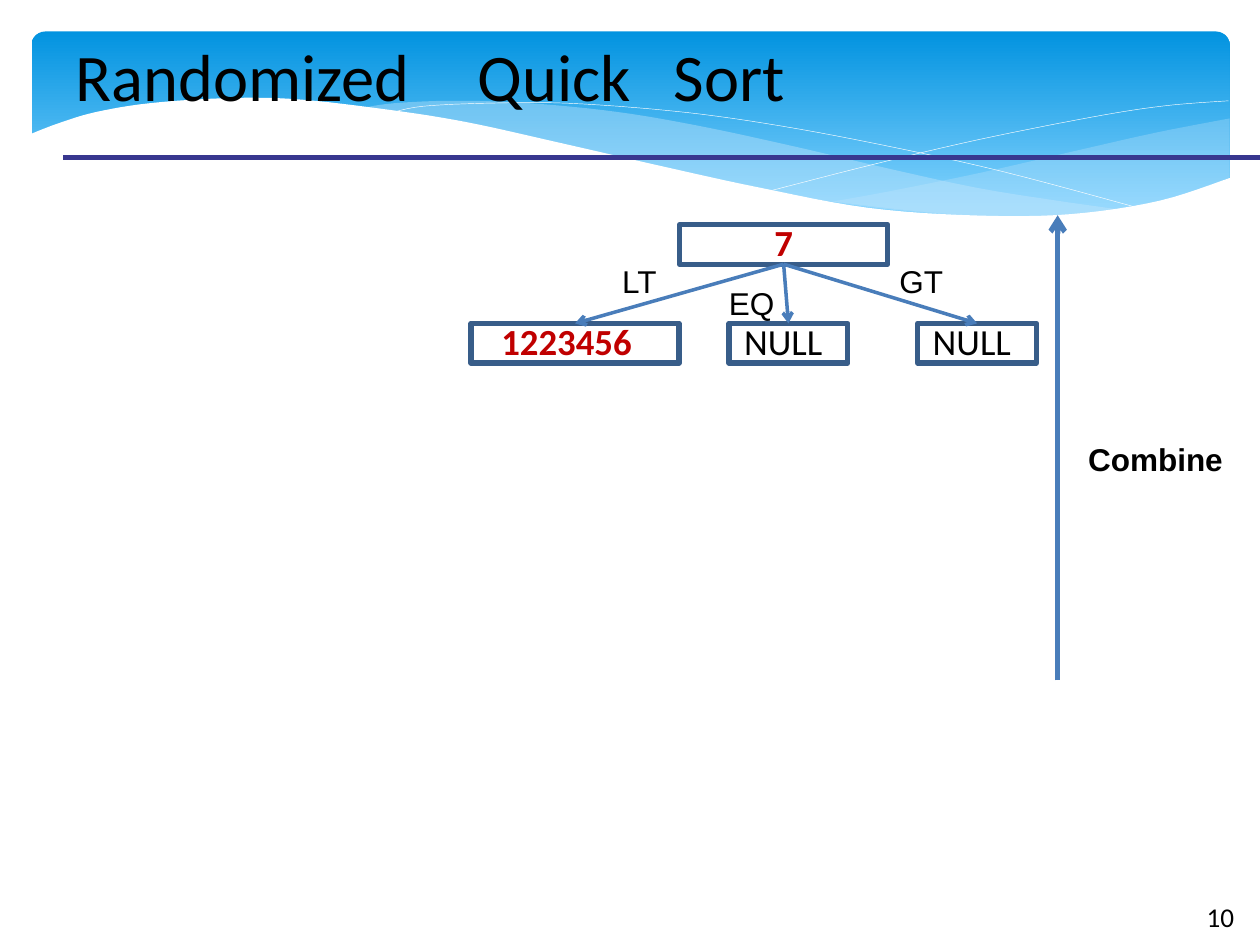
from lxml.etree import SubElement
from pptx import Presentation
from pptx.dml.color import RGBColor
from pptx.enum.shapes import MSO_CONNECTOR, MSO_SHAPE
from pptx.enum.text import MSO_ANCHOR, PP_ALIGN
from pptx.oxml.ns import qn
from pptx.util import Pt

BLACK = RGBColor(0x00, 0x00, 0x00)
WHITE = RGBColor(0xFF, 0xFF, 0xFF)
RED = RGBColor(0xC0, 0x00, 0x00)
SKY_DARK = RGBColor(0x02, 0x93, 0xE0)
SKY_LIGHT = RGBColor(0x83, 0xD3, 0xFE)
MIST = RGBColor(0xC6, 0xE7, 0xFC)
INDIGO = RGBColor(0x38, 0x37, 0x8F)
BOX_LINE = RGBColor(0x38, 0x5D, 0x89)
ARROW_BLUE = RGBColor(0x49, 0x7D, 0xBA)

TITLE = "Randomized\tQuick\tSort"
TITLE_TABS = [230, 342]

# Curves of each wave, joined end to end: (curves, fill, opacity in percent)
WAVES = [
    ([[(702.7, 67.7), (661.7, 75.6), (620, 85), (561, 98.6), (508, 109.4), (475.9, 115.2)],
      [(475.9, 115.2), (527, 121), (570.2, 123.8), (607.7, 123.1), (640, 119.5),
       (673.2, 112.3), (702.7, 101.5)]], MIST, 29),
    ([[(643, 120.2), (602.6, 114.5), (558, 107.3), (508.3, 96.5), (452.9, 83.5),
       (399.6, 72), (352, 63.9), (302.4, 59), (259.9, 57.6), (225.4, 59), (205.9, 61.9)],
      [(205.9, 61.9), (246.2, 67.7), (290.9, 76.3), (353.5, 90.7), (420.5, 105.1),
       (478.8, 115.9), (530, 121.7), (581, 124.6), (617, 123.5), (643, 120.2)]], MIST, 40),
    ([[(703.4, 101.5), (662.4, 114.8), (612, 122.4), (558, 123.2), (496, 118.8),
       (434.2, 107.3), (378, 95), (321.8, 82.1), (262.8, 69.1), (210.2, 61.2),
       (165.6, 56.5), (127.4, 56.2), (85.7, 59), (54.7, 64.1), (33.1, 70.6), (16.6, 77)],
      [(16.6, 161), (703.4, 161)]], WHITE, 100),
]
WAVE_LINES = [
    [(222.5, 64.8), (241.2, 60.8), (278.6, 59), (324, 59), (383.8, 63.4), (437.8, 70.6),
     (500.4, 82.1), (572.4, 97.9), (653, 119.5)],
    [(441.4, 108.7), (500.4, 93.6), (558.7, 79.9), (623.5, 67), (665.3, 60.5), (702, 57.6)],
]
HORIZON = [(36, 90), (720, 90)]

BOX_HEIGHT = 22.7
# text, left, top, width, left inset (None centres the text), colour, bold
PIVOT = ("7", 388.4, 128.3, 118.8, None, RED, True)
PARTS = [
    ("1223456", 269.2, 184.8, 118.8, 17.3, RED, True),
    ("NULL", 416.6, 184.8, 67.9, 8.6, BLACK, False),
    ("NULL", 524.4, 184.8, 67.9, 8.6, BLACK, False),
]
COMBINE_ARROW = [(604.4, 388.8), (604.4, 123)]
# text, left, top, width, font, size, bold
LABELS = [
    ("LT", 355.5, 150.5, 24, "Arial", 18, False),
    ("GT", 514, 150.5, 30, "Arial", 18, False),
    ("EQ", 416.5, 162.7, 31, "Arial", 18, False),
    ("Combine", 621.8, 252, 82, "Arial", 18, True),
    ("10", 689.5, 513.7, 23, "Calibri", 15.5, False),
]


def smooth(points, steps=6):
    """Return points on the Catmull-Rom curve through the given points."""
    if len(points) < 3:
        return points
    padded = [points[0], *points, points[-1]]
    curve = [points[0]]
    for a, b, c, d in zip(padded, padded[1:], padded[2:], padded[3:]):
        for step in range(1, steps + 1):
            t = step / steps
            curve.append(tuple(
                (2 * q + (r - p) * t + (2 * p - 5 * q + 4 * r - s) * t ** 2
                 + (3 * q - p - 3 * r + s) * t ** 3) / 2
                for p, q, r, s in zip(a, b, c, d)))
    return curve


def add_outline(shapes, points, close):
    vertices = [(Pt(x), Pt(y)) for x, y in points]
    builder = shapes.build_freeform(*vertices[0], scale=1.0)
    builder.add_line_segments(vertices[1:], close=close)
    shape = builder.convert_to_shape()
    shape.shadow.inherit = False
    return shape


def add_line(shapes, points, color, width, arrow=False):
    (x1, y1), (x2, y2) = points
    line = shapes.add_connector(MSO_CONNECTOR.STRAIGHT, Pt(x1), Pt(y1), Pt(x2), Pt(y2))
    line.line.color.rgb = color
    line.line.width = Pt(width)
    if arrow:
        SubElement(line.line._get_or_add_ln(), qn("a:tailEnd"), type="arrow")
    SubElement(line.element.spPr, qn("a:effectLst"))


def write(shape, text, font, size, color=BLACK, bold=False, align=PP_ALIGN.LEFT,
          anchor=MSO_ANCHOR.MIDDLE, left=0, bottom=0):
    frame = shape.text_frame
    frame.word_wrap = True
    frame.vertical_anchor = anchor
    frame.margin_left, frame.margin_bottom = Pt(left), Pt(bottom)
    frame.margin_right = frame.margin_top = 0
    frame.text = text
    paragraph = frame.paragraphs[0]
    paragraph.alignment = align
    paragraph.font.name = font
    paragraph.font.size = Pt(size)
    paragraph.font.bold = bold
    paragraph.font.color.rgb = color
    return paragraph


def add_box(shapes, text, left, top, width, inset, color, bold):
    box = shapes.add_shape(MSO_SHAPE.RECTANGLE, Pt(left), Pt(top), Pt(width), Pt(BOX_HEIGHT))
    box.shadow.inherit = False
    box.fill.background()
    box.line.color.rgb = BOX_LINE
    box.line.width = Pt(3)
    align = PP_ALIGN.CENTER if inset is None else PP_ALIGN.LEFT
    write(box, text, "Calibri", 21, color, bold, align, left=inset or 0, bottom=3)


def add_banner(shapes):
    banner = shapes.add_shape(MSO_SHAPE.ROUNDED_RECTANGLE, Pt(18), Pt(18), Pt(684.7), Pt(112.3))
    banner.adjustments[0] = 0.07
    banner.shadow.inherit = False
    banner.line.fill.background()
    banner.fill.gradient()
    banner.fill.gradient_angle = 270
    for stop, color, position in zip(banner.fill.gradient_stops, (SKY_DARK, SKY_LIGHT), (0, 0.9)):
        stop.color.rgb = color
        stop.position = position

    for curves, color, opacity in WAVES:
        points = [point for curve in curves for point in smooth(curve)]
        wave = add_outline(shapes, points, close=True)
        wave.line.fill.background()
        wave.fill.solid()
        wave.fill.fore_color.rgb = color
        tint = wave.element.spPr.find(f"{qn('a:solidFill')}/{qn('a:srgbClr')}")
        SubElement(tint, qn("a:alpha"), val=str(opacity * 1000))
    for points in WAVE_LINES:
        wave_line = add_outline(shapes, smooth(points), close=False)
        wave_line.fill.background()
        wave_line.line.color.rgb = WHITE
        wave_line.line.width = Pt(0.25)


def add_title(slide):
    title = slide.shapes.title
    slide.shapes.element.append(title.element)  # in front of the banner
    title.left, title.top, title.width, title.height = Pt(43), Pt(20), Pt(440), Pt(47)
    paragraph = write(title, TITLE, "Calibri", 38, anchor=MSO_ANCHOR.TOP)
    properties = paragraph._p.get_or_add_pPr()
    tabs = properties.makeelement(qn("a:tabLst"))
    properties.find(qn("a:defRPr")).addprevious(tabs)
    for position in TITLE_TABS:
        SubElement(tabs, qn("a:tab"), pos=str(Pt(position)), algn="l")


def main():
    presentation = Presentation()
    presentation.slide_width, presentation.slide_height = Pt(720), Pt(540)
    slide = presentation.slides.add_slide(presentation.slide_layouts[5])
    shapes = slide.shapes
    add_banner(shapes)
    add_line(shapes, HORIZON, INDIGO, 2.5)
    add_title(slide)

    for box in [PIVOT, *PARTS]:
        add_box(shapes, *box)
    _, left, top, width, *_ = PIVOT
    root = (left + width / 2, top + BOX_HEIGHT)
    for _, left, top, width, *_ in PARTS:
        add_line(shapes, [root, (left + width / 2, top)], ARROW_BLUE, 2, arrow=True)
    add_line(shapes, COMBINE_ARROW, ARROW_BLUE, 3, arrow=True)

    for text, left, top, width, font, size, bold in LABELS:
        label = shapes.add_textbox(Pt(left), Pt(top), Pt(width), Pt(20.2))
        write(label, text, font, size, bold=bold)
    presentation.save("out.pptx")


if __name__ == "__main__":
    main()
